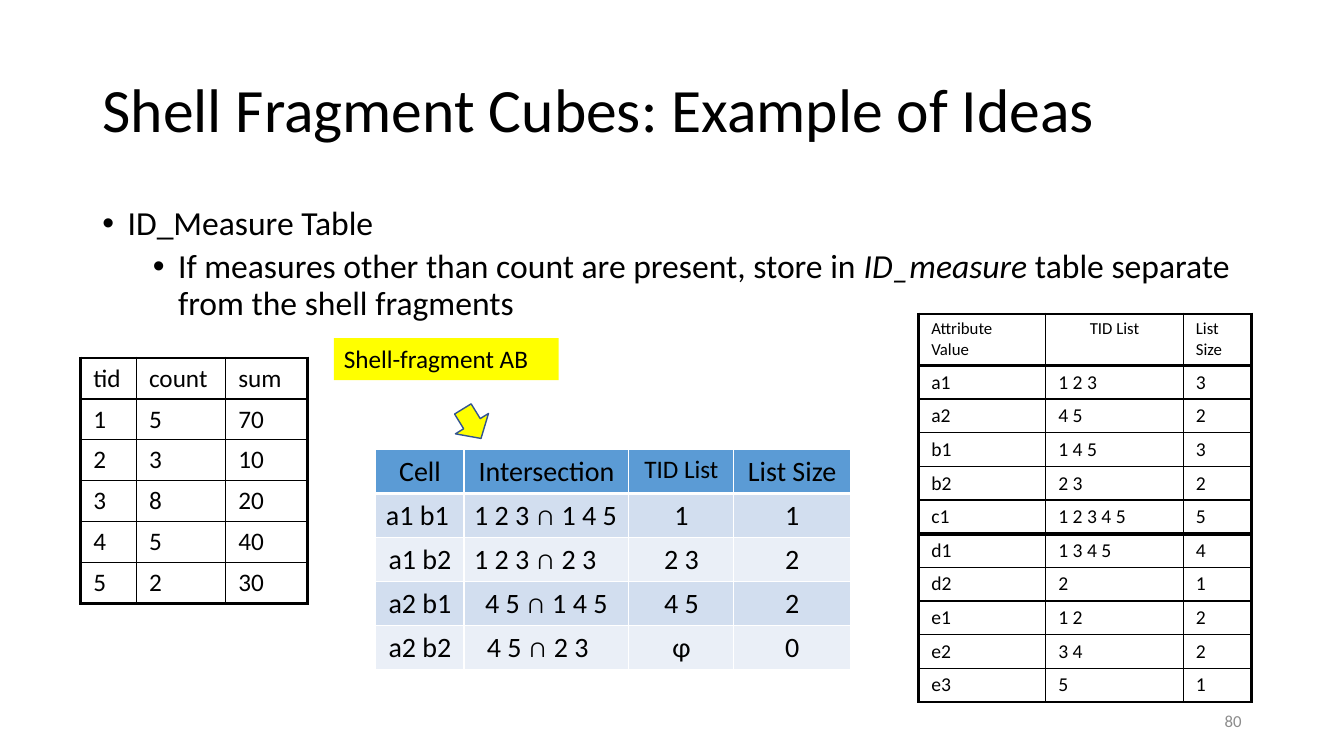
"""Build the slide on shell fragment cubes and the ID_Measure table."""
from lxml import etree
from pptx import Presentation
from pptx import util as u
from pptx.dml.color import RGBColor
from pptx.enum import shapes, text
from pptx.oxml.ns import qn

PX = 9525
FONT = "Calibri"
COLORS = {
    "ink": "000000", "paper": "FFFFFF", "number": "8C8C8C", "highlight": "FFFF00",
    "arrow edge": "325491", "header": "5B9BD5", "odd": "D2DEEF", "even": "EAEFF7",
}
LEFT, CENTER, RIGHT = text.PP_ALIGN.LEFT, text.PP_ALIGN.CENTER, text.PP_ALIGN.RIGHT

MEASURES = [["tid", "count", "sum"], ["1", "5", "70"], ["2", "3", "10"],
            ["3", "8", "20"], ["4", "5", "40"], ["5", "2", "30"]]
INTERSECTIONS = [["Cell", "Intersection", "TID List", "List Size"],
                 ["a1 b1", "1 2 3 ∩ 1 4 5", "1", "1"],
                 ["a1 b2", "1 2 3 ∩ 2 3", "2 3", "2"],
                 ["a2 b1", "4 5 ∩ 1 4 5", "4 5", "2"],
                 ["a2 b2", "4 5 ∩ 2 3", "φ", "0"]]
INVERTED_INDEX = [["Attribute Value", "TID List", "List Size"],
                  ["a1", "1 2 3", "3"], ["a2", "4 5", "2"], ["b1", "1 4 5", "3"],
                  ["b2", "2 3", "2"], ["c1", "1 2 3 4 5", "5"], ["d1", "1 3 4 5", "4"],
                  ["d2", "2", "1"], ["e1", "1 2", "2"], ["e2", "3 4", "2"], ["e3", "5", "1"]]
LEFT_CELLS = {(1, 0), (1, 1), (2, 1), (4, 1)}


def px(*lengths):
    return [u.Emu(length * PX) for length in lengths]


def rgb(color):
    return RGBColor.from_string(COLORS[color])


def write(paragraph, words, size=18, color="ink", align=LEFT, italic=False, spacing=None):
    paragraph.alignment = align
    if spacing:
        paragraph.line_spacing = spacing
    run = paragraph.add_run()
    run.text = words
    run.font.name, run.font.size = FONT, u.Pt(size)
    run.font.italic = italic
    run.font.color.rgb = rgb(color)


def indent(paragraph, margin, hanging=0):
    properties = paragraph._p.get_or_add_pPr()
    properties.set("marL", str(margin * PX))
    properties.set("indent", str(-hanging * PX))
    return properties


def bullet(paragraph, margin):
    mark = etree.SubElement(indent(paragraph, margin, 24), qn("a:buChar"))
    mark.set("char", "•")


def place(shape, *box):
    shape.left, shape.top, shape.width, shape.height = px(*box)


def add_label(slide, box, words, fill=None, anchor=text.MSO_ANCHOR.TOP, **style):
    label = slide.shapes.add_textbox(*px(*box))
    if fill:
        label.fill.solid()
        label.fill.fore_color.rgb = rgb(fill)
    frame = label.text_frame
    frame.word_wrap, frame.vertical_anchor = True, anchor
    write(frame.paragraphs[0], words, **style)


def add_arrow(slide, box, rotation):
    arrow = slide.shapes.add_shape(shapes.MSO_SHAPE.DOWN_ARROW, *px(*box))
    arrow.rotation = rotation
    arrow.shadow.inherit = False
    arrow.fill.solid()
    arrow.fill.fore_color.rgb = rgb("highlight")
    arrow.line.color.rgb, arrow.line.width = rgb("arrow edge"), u.Pt(1)


def set_borders(cell, color, widths):
    properties = cell._tc.get_or_add_tcPr()
    for position, (side, width) in enumerate(zip("LRTB", widths)):
        line = etree.Element(qn("a:ln" + side), w=str(u.Pt(width)))
        fill = etree.SubElement(line, qn("a:solidFill"))
        etree.SubElement(fill, qn("a:srgbClr"), val=COLORS[color])
        properties.insert(position, line)


def add_grid(slide, corner, widths, heights, rows):
    box = px(*corner, sum(widths), sum(heights))
    grid = slide.shapes.add_table(len(rows), len(widths), *box).table
    grid.first_row = grid.horz_banding = False
    for column, width in zip(grid.columns, px(*widths)):
        column.width = width
    for row, height in zip(grid.rows, px(*heights)):
        row.height = height
    return [(r, c, grid.cell(r, c), words)
            for r, row in enumerate(rows) for c, words in enumerate(row)]


def add_ruled_table(slide, corner, widths, heights, rows, size, header_size, heavy=()):
    last_row, last_column = len(rows) - 1, len(widths) - 1
    rules = [2.25] + [3 if r in heavy else 1 for r in range(last_row)] + [2.25]
    for r, c, cell, words in add_grid(slide, corner, widths, heights, rows):
        cell.fill.background()
        cell.margin_left, cell.margin_right = px(12, 12)
        centered = words == "TID List"
        write(cell.text_frame.paragraphs[0], words, size=size if r else header_size,
              align=CENTER if centered else LEFT)
        set_borders(cell, "ink", [1 if c else 2.25, 1 if c < last_column else 2.25,
                                  rules[r], rules[r + 1]])


def add_banded_table(slide, corner, widths, heights, rows):
    for r, c, cell, words in add_grid(slide, corner, widths, heights, rows):
        cell.fill.solid()
        cell.fill.fore_color.rgb = rgb("header" if r == 0 else "odd" if r % 2 else "even")
        paragraph = cell.text_frame.paragraphs[0]
        if (r, c) == (4, 1):
            indent(paragraph, 12)
        write(paragraph, words, size=18 if words == "TID List" else 20,
              align=LEFT if (r, c) in LEFT_CELLS else CENTER)
        set_borders(cell, "paper", [1, 1, 3 if r == 1 else 1, 1 if r else 3])


def fill_title(title):
    place(title, 88, 38, 1104, 139)
    title.text_frame.vertical_anchor = text.MSO_ANCHOR.MIDDLE
    write(title.text_frame.paragraphs[0], "Shell Fragment Cubes: Example of Ideas",
          size=44, spacing=0.9)


def fill_body(body):
    place(body, 88, 192, 1104, 457)
    topic = body.text_frame.paragraphs[0]
    topic.space_before = u.Pt(0)
    bullet(topic, 24)
    write(topic, "ID_Measure Table", size=24, spacing=0.9)
    detail = body.text_frame.add_paragraph()
    detail.level = 1
    detail.space_before = u.Pt(5)
    bullet(detail, 72)
    for words, italic in [("If measures other than count are present, store in ", False),
                          ("ID_measure", True),
                          (" table separate from the shell fragments", False)]:
        write(detail, words, size=24, italic=italic, spacing=0.9)


def main():
    deck = Presentation()
    deck.slide_width, deck.slide_height = px(1280, 720)
    slide = deck.slides.add_slide(deck.slide_layouts[1])
    fill_title(slide.shapes.title)
    fill_body(slide.placeholders[1])
    add_label(slide, (904, 667, 288, 38), "80", size=12, color="number", align=RIGHT,
              anchor=text.MSO_ANCHOR.MIDDLE)
    add_ruled_table(slide, (875, 299), [121, 131, 65], [49] + [32] * 10, INVERTED_INDEX,
                    size=14, header_size=12, heavy=(0, 5))
    add_banded_table(slide, (358, 428), [84, 157, 100, 111], [42] * 5, INTERSECTIONS)
    add_ruled_table(slide, (77, 341), [53, 85, 78], [39] * 6, MEASURES,
                    size=18, header_size=18)
    add_label(slide, (318, 322, 214, 40), "Shell-fragment AB", fill="highlight")
    add_arrow(slide, (431, 387, 37, 33), 328.4)
    deck.save("out.pptx")


if __name__ == "__main__":
    main()
